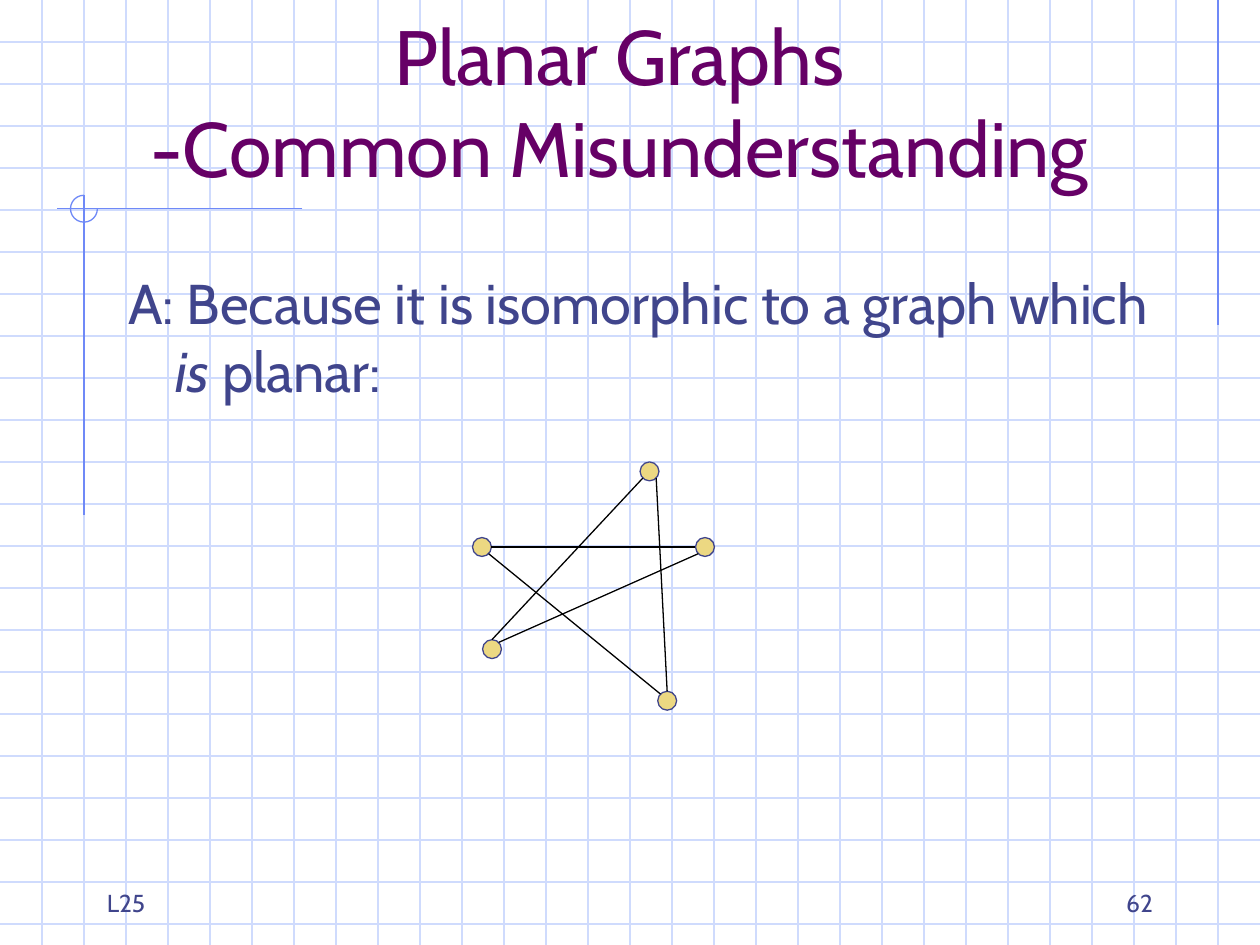
"""Builds the planar graphs slide on a grid of 30 columns and 22.5 rows."""
import math

import pptx
import pptx.dml.color
import pptx.enum.shapes
import pptx.enum.text
import pptx.oxml
import pptx.util

COLUMNS, ROWS = 30, 22.5
INK, PLUM, GOLD, BLACK = "40458C", "660066", "ECD882", "000000"
GRID_BLUE, ACCENT_BLUE = "CFDBFD", "6F89F7"
NODE_SIZE = 0.45
ALIGN = pptx.enum.text.PP_ALIGN
ANCHOR = pptx.enum.text.MSO_ANCHOR
SHAPE = pptx.enum.shapes.MSO_SHAPE


def cells(count):
    """Convert grid cells to a length."""
    return pptx.util.Inches(count / 3)


def colour(hex_string):
    """Convert a hex string to a colour."""
    return pptx.dml.color.RGBColor.from_string(hex_string)


def place(holder, box):
    """Move a shape to a box given in cells."""
    holder.left, holder.top, holder.width, holder.height = map(cells, box)


def write(frame, *lines, size, ink=INK, align=ALIGN.LEFT, anchor=ANCHOR.TOP, before=0):
    """Write lines of (text, italic) runs into one paragraph."""
    frame.word_wrap = True
    frame.auto_size = pptx.enum.text.MSO_AUTO_SIZE.NONE
    frame.vertical_anchor = anchor
    paragraph = frame.paragraphs[0]
    paragraph.alignment = align
    paragraph.space_before = pptx.util.Pt(before)
    for index, line in enumerate(lines):
        if index:
            paragraph.add_line_break()
        for text, italic in line:
            run = paragraph.add_run()
            run.text = text
            run.font.name = "Cabin"
            run.font.size = pptx.util.Pt(size)
            run.font.italic = italic
            run.font.color.rgb = colour(ink)
    return paragraph


def draw_line(slide, start, end, ink):
    """Draw a thin straight line between two points in cells."""
    line = slide.shapes.add_connector(
        pptx.enum.shapes.MSO_CONNECTOR.STRAIGHT, *map(cells, (*start, *end)))
    line.line.color.rgb = colour(ink)
    line.line.width = pptx.util.Pt(0.75)
    properties = line._element.spPr
    properties.append(properties.makeelement(pptx.oxml.ns.qn("a:effectLst"), {}))


def draw_round(slide, preset, box, ink, fill=None):
    """Draw a thinly outlined round shape."""
    shape = slide.shapes.add_shape(preset, *map(cells, box))
    shape.shadow.inherit = False
    shape.line.color.rgb = colour(ink)
    shape.line.width = pptx.util.Pt(0.75)
    if fill:
        shape.fill.solid()
        shape.fill.fore_color.rgb = colour(fill)
    else:
        shape.fill.background()
    return shape


def add_graph_paper(slide, width, height):
    """Rule the whole slide into square cells."""
    for row in range(1, math.ceil(height)):
        draw_line(slide, (0, row), (width, row), GRID_BLUE)
    for column in range(1, width):
        draw_line(slide, (column, 0), (column, height), GRID_BLUE)


def add_accents(slide, x, y):
    """Draw the corner mark centred on a point, and the rule on the right."""
    radius = 0.32
    draw_line(slide, (COLUMNS - 1, 0), (COLUMNS - 1, 7.75), ACCENT_BLUE)
    draw_line(slide, (x + 5.2, y), (x - 0.65, y), ACCENT_BLUE)
    draw_line(slide, (x, y - radius), (x, y + 7.3), ACCENT_BLUE)
    arc = draw_round(slide, SHAPE.ARC,
                     (x - radius, y - radius, 2 * radius, 2 * radius), ACCENT_BLUE)
    arc.adjustments[0], arc.adjustments[1] = 0, 162


def add_title(slide, box):
    """Fill the title placeholder."""
    title = slide.shapes.title
    place(title, box)
    write(title.text_frame, [("Planar Graphs", False)],
          [("-Common Misunderstanding", False)],
          size=44, ink=PLUM, align=ALIGN.CENTER, anchor=ANCHOR.BOTTOM)


def add_answer(slide, box):
    """Fill the body placeholder with a hanging, unbulleted answer."""
    answer = slide.placeholders[1]
    place(answer, box)
    paragraph = write(answer.text_frame, [
        ("A: Because it is isomorphic to a graph which ", False),
        ("is", True), (" planar:", False)], size=32, before=8)
    properties = paragraph._p.get_or_add_pPr()
    hang = pptx.util.Inches(0.38)
    properties.set("marL", str(hang))
    properties.set("indent", str(-hang))
    properties.append(properties.makeelement(pptx.oxml.ns.qn("a:buNone"), {}))


def add_star_graph(slide, left, top):
    """Draw a five-node cycle as a star, with edges ending on node rims."""
    nodes = {"west": (0, 1.8), "east": (5.31, 1.8), "southwest": (0.24, 4.23),
             "south": (4.41, 5.46), "north": (3.99, 0)}
    edges = [("west", 0, "east", 180), ("southwest", 45, "east", 225),
             ("south", 135, "west", 315), ("north", 225, "southwest", 90),
             ("north", 315, "south", 90)]
    radius = NODE_SIZE / 2

    def rim(node, degrees):
        """Find the point on a node's rim at an angle."""
        x, y = nodes[node]
        angle = math.radians(degrees)
        return (left + x + radius * (1 + math.cos(angle)),
                top + y + radius * (1 - math.sin(angle)))

    for x, y in nodes.values():
        draw_round(slide, SHAPE.OVAL, (left + x, top + y, NODE_SIZE, NODE_SIZE), INK, GOLD)
    for start, start_angle, end, end_angle in edges:
        draw_line(slide, rim(start, start_angle), rim(end, end_angle), BLACK)


def add_footer(slide, box, text, align):
    """Add one footer label."""
    label = slide.shapes.add_textbox(*map(cells, box))
    write(label.text_frame, [(text, False)], size=14, align=align, anchor=ANCHOR.BOTTOM)


def main():
    """Build and save the slide."""
    deck = pptx.Presentation()
    deck.slide_width, deck.slide_height = cells(COLUMNS), cells(ROWS)
    slide = deck.slides.add_slide(deck.slide_layouts[1])
    add_graph_paper(slide, COLUMNS, ROWS)
    add_accents(slide, 2, 4.97)
    add_footer(slide, (2.25, 20.5, 6.25, 1.5), "L25", ALIGN.LEFT)
    add_footer(slide, (21.5, 20.5, 6.25, 1.5), "62", ALIGN.RIGHT)
    add_title(slide, (2, 1, 25.5, 3.75))
    add_answer(slide, (2.75, 6.25, 25.5, 13.5))
    add_star_graph(slide, 11.25, 11)
    for holder in (slide.placeholders[1], slide.shapes.title):
        slide.shapes._spTree.remove(holder._element)
        slide.shapes._spTree.append(holder._element)
    deck.save("out.pptx")


if __name__ == "__main__":
    main()
